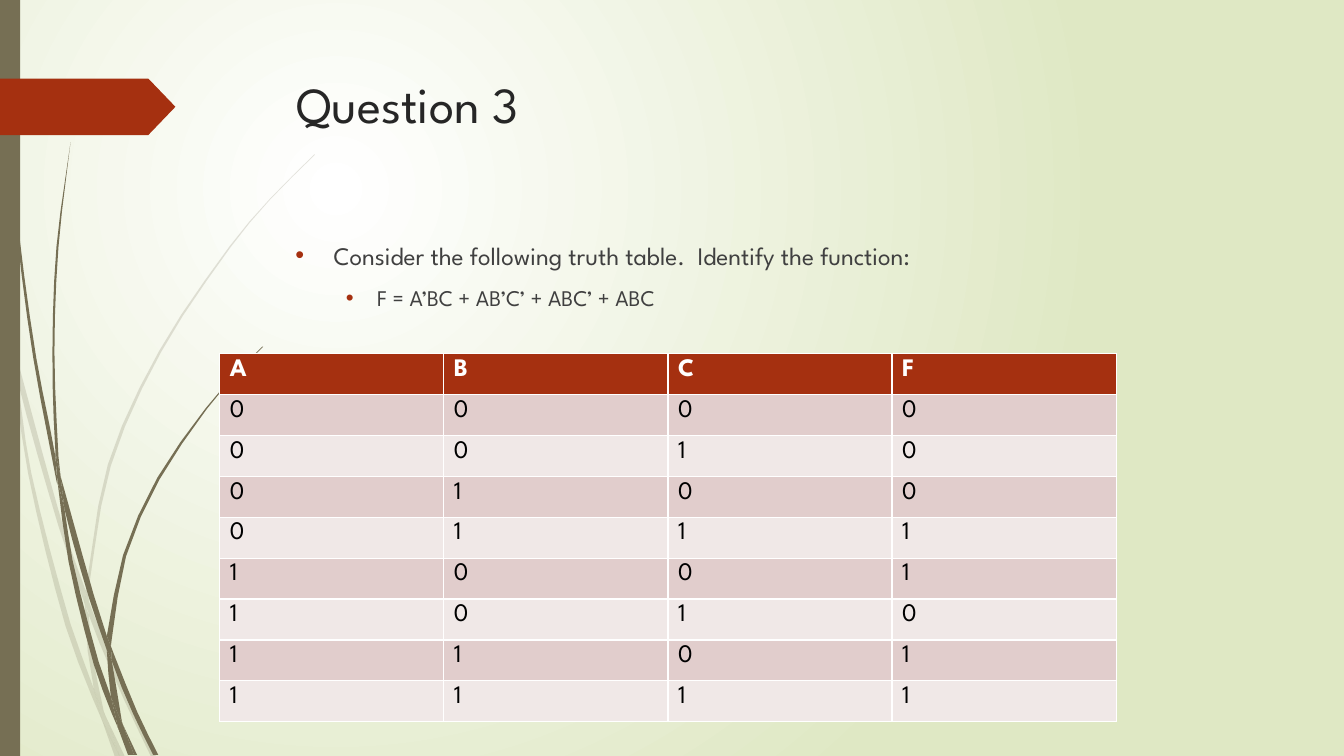
from dataclasses import dataclass
from math import ceil, dist

from lxml.etree import SubElement
from pptx import Presentation
from pptx.dml.color import RGBColor
from pptx.enum.shapes import MSO_SHAPE
from pptx.enum.text import MSO_ANCHOR, MSO_AUTO_SIZE, PP_ALIGN
from pptx.oxml.ns import qn
from pptx.util import Inches, Pt

# Grid: one column and one row per inch
COLUMNS, ROWS = 13.33, 7.5
WIDTH, HEIGHT = Inches(COLUMNS), Inches(ROWS)
FONT = "League Spartan"
OLIVE, RUST, WHITE = "766F54", "A53010", "FFFFFF"

Point = tuple[float, float]


@dataclass
class Blade:
    """A piece of grass: its two long edges, head to tail around the outline."""
    out: list[Point]
    back: list[Point]


@dataclass
class Bullet:
    text: str
    level: int
    size: int
    margin: float
    hanging: float


PALE_GRASS = [
    Blade([(0.11, 3.5), (0.09, 3.22), (0, 2.82)], [(0, 2.99), (0.1, 3.44)]),
    Blade([(0.14, 3.45), (0.17, 3.76), (0.58, 5.22), (0.84, 5.99)],
          [(0.85, 5.86), (0.62, 5.2), (0.14, 3.45)]),
    Blade([(0.88, 5.96), (0.88, 6.1), (1.23, 6.94), (1.5, 7.51)],
          [(1.55, 7.51), (1.27, 6.92), (0.92, 6.07), (0.88, 5.96)]),
    Blade([(1.05, 7.11), (1.19, 7.51)], [(1.24, 7.51), (1.05, 7.11)]),
    Blade([(0.11, 3.5), (0.28, 4.7), (0.65, 6.21), (0.92, 6.93), (1.01, 7.14)],
          [(0.99, 7.07), (0.93, 6.83), (0.7, 6.19), (0.31, 4.69), (0.17, 3.76), (0.11, 3.5)]),
    Blade([(0.84, 5.99), (0.87, 6.46), (0.93, 6.83), (0.96, 6.92), (1.05, 7.11)],
          [(1.03, 7.06), (0.91, 6.46), (0.88, 6.1), (0.84, 5.99)]),
    Blade([(0.85, 5.86), (1.07, 4.61), (1.58, 3.48), (2.28, 2.44), (2.68, 1.97), (3.12, 1.53)],
          [(3.12, 1.54), (2.68, 1.98), (2.29, 2.45), (1.6, 3.49), (1.1, 4.62), (0.88, 5.84),
           (0.88, 5.96)]),
    Blade([(1.01, 7.14), (1.14, 7.51)], [(1.19, 7.51), (1.01, 7.14)]),
    Blade([(0.88, 6.1), (0.88, 5.96), (0.85, 5.86)], [(0.84, 5.99), (0.88, 6.08)]),
    Blade([(0.93, 6.83), (0.99, 7.07), (1.01, 7.14), (1.19, 7.51)],
          [(1.19, 7.51), (1.05, 7.11), (0.96, 6.92)]),
]
DARK_GRASS = [
    Blade([(0.03, 0), (0.07, 1.1), (0.17, 2.33), (0.33, 3.55), (0.56, 4.77)],
          [(0.57, 4.81), (0.55, 4.53), (0.36, 3.55), (0.19, 2.32), (0.08, 1.09), (0.04, 0)]),
    Blade([(0.6, 4.72), (0.64, 5.05), (0.88, 5.92), (1.06, 6.45)],
          [(1.06, 6.31), (0.93, 5.9), (0.6, 4.72)]),
    Blade([(1.1, 6.41), (1.11, 6.56), (1.32, 7.08), (1.52, 7.49)],
          [(1.57, 7.49), (1.36, 7.06), (1.13, 6.49)]),
    Blade([(0.57, 4.77), (0.68, 5.57), (0.93, 6.59), (1.11, 7.08), (1.17, 7.22)],
          [(1.16, 7.17), (1.1, 6.91), (0.98, 6.57), (0.72, 5.56), (0.64, 5.05), (0.57, 4.77)]),
    Blade([(0.6, 4.72), (0.58, 4.53), (0.54, 3.49), (0.58, 2.45), (0.7, 1.41)],
          [(0.7, 1.41), (0.56, 2.45), (0.52, 3.49), (0.55, 4.49), (0.6, 4.72)]),
    Blade([(1.22, 7.19), (1.33, 7.49)], [(1.36, 7.49), (1.22, 7.19)]),
    Blade([(0.57, 4.77), (0.64, 5.05)], [(0.6, 4.72), (0.55, 4.49), (0.55, 4.53)]),
    Blade([(1.06, 6.31), (1.22, 5.51), (1.56, 4.74), (2.04, 4.05), (2.31, 3.73), (2.6, 3.44)],
          [(2.61, 3.44), (2.31, 3.74), (2.05, 4.06), (1.58, 4.76), (1.25, 5.52), (1.11, 6.33),
           (1.1, 6.41)]),
    Blade([(1.17, 7.22), (1.27, 7.49)], [(1.31, 7.49), (1.17, 7.22)]),
    Blade([(1.06, 6.45), (1.1, 6.91), (1.16, 7.06), (1.22, 7.19)],
          [(1.21, 7.16), (1.11, 6.56), (1.09, 6.51)]),
    Blade([(1.06, 6.45), (1.09, 6.51), (1.11, 6.56)], [(1.1, 6.41), (1.06, 6.31)]),
    Blade([(1.1, 6.91), (1.16, 7.17), (1.17, 7.22), (1.3, 7.49)],
          [(1.33, 7.49), (1.22, 7.19), (1.16, 7.06)]),
]
BULLETS = [
    Bullet("Consider the following truth table.  Identify the function:", 0, 18, 0.38, 0.38),
    Bullet("F = A’BC + AB’C’ + ABC’ + ABC", 1, 16, 0.81, 0.31),
]
HEADINGS = "ABCF"
OUTPUTS = "00011011"


def color(hex_string: str) -> RGBColor:
    return RGBColor.from_string(hex_string)


def across(columns: float) -> int:
    return round(WIDTH * columns / COLUMNS)


def down(rows: float) -> int:
    return round(HEIGHT * rows / ROWS)


def box(left: float, top: float, width: float, height: float) -> dict[str, int]:
    return {"left": across(left), "top": down(top), "width": across(width), "height": down(height)}


def apply(target, values: dict) -> None:
    for name, value in values.items():
        setattr(target, name, value)


def format_font(font, size: int, hex_string: str, bold: bool = False) -> None:
    apply(font, {"name": FONT, "size": Pt(size), "bold": bold})
    font.color.rgb = color(hex_string)


def paint(shape, hex_string: str, opacity: int = 100) -> None:
    shape.shadow.inherit = False
    shape.fill.solid()
    shape.fill.fore_color.rgb = color(hex_string)
    shape.line.fill.background()
    if opacity < 100:
        SubElement(shape.element.spPr.find(".//" + qn("a:srgbClr")), qn("a:alpha"),
                   val=str(opacity * 1000))


def smooth(edge: list[Point], longest: float = 0.45) -> list[Point]:
    """Run a cubic curve through the points of an edge, in short straight steps."""
    slopes = []
    for index in range(len(edge)):
        near = edge[max(index - 1, 0):index + 2]
        length = sum(dist(a, b) for a, b in zip(near, near[1:]))
        slopes.append([(near[-1][axis] - near[0][axis]) / length for axis in (0, 1)])
    curve = [edge[0]]
    for start, end, leave, arrive in zip(edge, edge[1:], slopes, slopes[1:]):
        span = dist(start, end)
        steps = ceil(span / longest) if len(edge) > 2 else 1
        for step in range(1, steps + 1):
            t = step / steps
            curve.append(tuple(
                (2 * t**3 - 3 * t**2 + 1) * start[axis] + (3 * t**2 - 2 * t**3) * end[axis]
                + span * ((t**3 - 2 * t**2 + t) * leave[axis] + (t**3 - t**2) * arrive[axis])
                for axis in (0, 1)))
    return curve


def draw_blade(slide, blade: Blade, opacity: int) -> None:
    outline = [(across(x), down(y)) for x, y in smooth(blade.out) + smooth(blade.back)]
    builder = slide.shapes.build_freeform(*outline[0])
    builder.add_line_segments(outline[1:], close=True)
    paint(builder.convert_to_shape(), OLIVE, opacity)


def draw_background(slide) -> None:
    fill = slide.background.fill
    fill.gradient()
    for stop, hex_string in zip(fill.gradient_stops, (WHITE, "DFE8C4")):
        stop.color.rgb = color(hex_string)
    gradient = slide.element.find(".//" + qn("a:gradFill"))
    gradient.remove(gradient.find(qn("a:lin")))
    circle = SubElement(gradient, qn("a:path"), path="circle")
    SubElement(circle, qn("a:fillToRect"), l="50000", t="50000", r="100000", b="100000")


def place_text(shape, bounds: dict[str, int]) -> None:
    shape.element.getparent().append(shape.element)
    apply(shape, bounds)
    apply(shape.text_frame, {"word_wrap": True, "vertical_anchor": MSO_ANCHOR.TOP,
                             "auto_size": MSO_AUTO_SIZE.NONE})


def write_bullet(paragraph, bullet: Bullet) -> None:
    apply(paragraph, {"text": bullet.text, "level": bullet.level, "space_before": Pt(10)})
    format_font(paragraph.runs[0].font, bullet.size, "404040")
    properties = paragraph._p.get_or_add_pPr()
    properties.set("marL", str(across(bullet.margin)))
    properties.set("indent", str(-across(bullet.hanging)))
    SubElement(SubElement(properties, qn("a:buClr")), qn("a:srgbClr"), val=RUST)
    SubElement(properties, qn("a:buFont"), typeface="Arial")
    SubElement(properties, qn("a:buChar"), char="•")


def format_cell(cell, text: str, row: int) -> None:
    """Fill one cell; the table's style supplies the white borders."""
    cell.text = text
    format_font(cell.text_frame.paragraphs[0].runs[0].font, 18,
                "000000" if row else WHITE, bold=row == 0)
    cell.fill.solid()
    band = "E1CDCC" if row % 2 else "F0E8E7"
    cell.fill.fore_color.rgb = color(band if row else RUST)


def main() -> None:
    presentation = Presentation()
    apply(presentation, {"slide_width": WIDTH, "slide_height": HEIGHT})
    slide = presentation.slides.add_slide(presentation.slide_layouts[1])
    title, body = slide.placeholders

    # Backdrop: gradient, grass, side bar and tag
    draw_background(slide)
    for blades, opacity in ((PALE_GRASS, 20), (DARK_GRASS, 100)):
        for blade in blades:
            draw_blade(slide, blade, opacity)
    paint(slide.shapes.add_shape(MSO_SHAPE.RECTANGLE, **box(0, 0, 0.2, ROWS)), OLIVE)
    tag = slide.shapes.add_shape(MSO_SHAPE.PENTAGON, **box(0, 0.78, 1.74, 0.56))
    tag.adjustments[0] = 0.48
    paint(tag, RUST)

    # Title and bullets
    place_text(title, box(2.84, 0.68, 9.75, 1.4))
    title.text_frame.text = "Question 3"
    heading = title.text_frame.paragraphs[0]
    heading.alignment = PP_ALIGN.LEFT
    format_font(heading.runs[0].font, 36, "262626")
    place_text(body, box(2.83, 2.33, 9.75, 4.13))
    for index, bullet in enumerate(BULLETS):
        frame = body.text_frame
        write_bullet(frame.add_paragraph() if index else frame.paragraphs[0], bullet)

    # Truth table: inputs count up in binary
    rows = [HEADINGS] + [f"{number:03b}{output}" for number, output in enumerate(OUTPUTS)]
    table = slide.shapes.add_table(len(rows), len(HEADINGS), **box(2.18, 3.51, 8.89, 3.65)).table
    for row, values in enumerate(rows):
        for column, text in enumerate(values):
            format_cell(table.cell(row, column), text, row)

    presentation.save("out.pptx")


if __name__ == "__main__":
    main()
